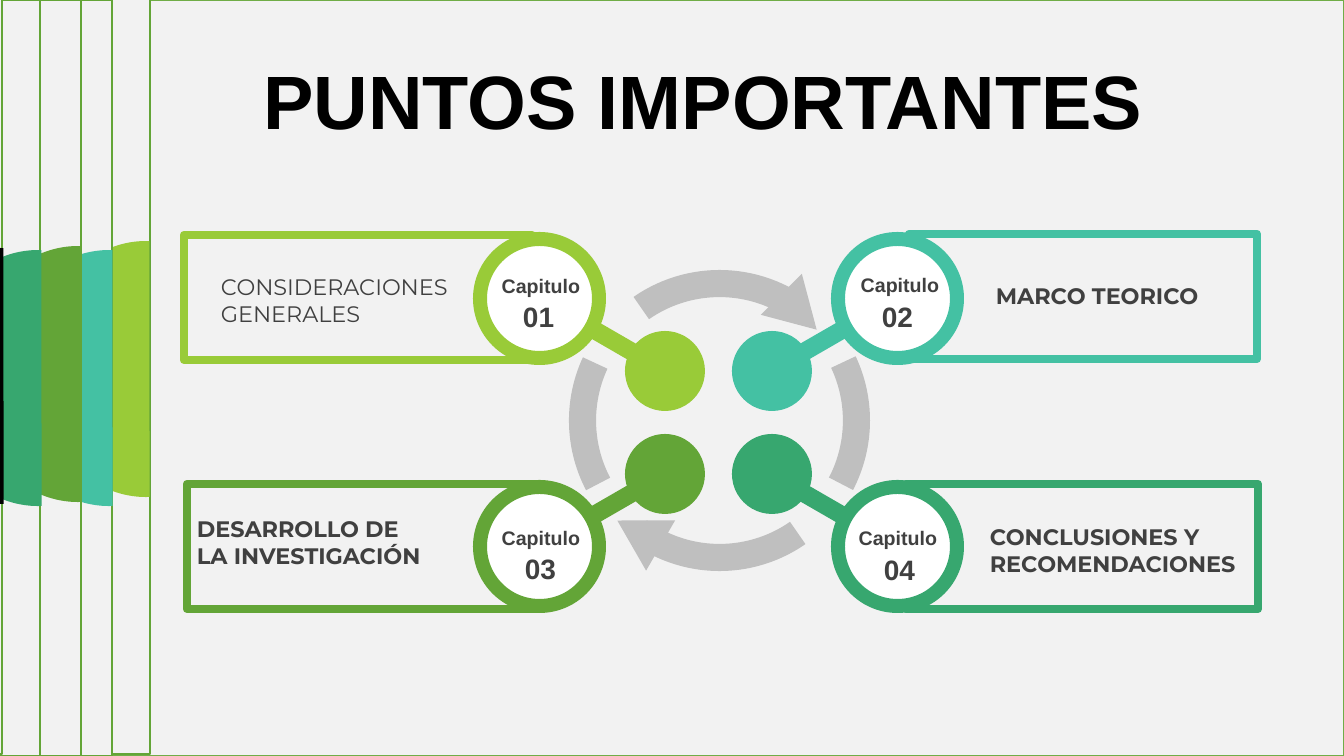
import pptx
import pptx.dml.color
import pptx.enum.shapes
import pptx.enum.text
import pptx.util

PX = 914400 / 100.8
W, H = 1344, 756
SHAPE = pptx.enum.shapes.MSO_SHAPE
ALIGN = pptx.enum.text.PP_ALIGN
ANCHOR = pptx.enum.text.MSO_ANCHOR
COLORS = {
    "paper": "F2F2F2", "edge": "70AD47", "white": "FFFFFF", "black": "000000",
    "text": "404040", "gray": "BFBFBF", "lime": "99CB38", "teal": "44C1A3",
    "green": "63A537", "jade": "37A76F",
}

# color, number, frame box, label, label box, label bold, caption at, number at
CHAPTERS = [
    ("lime", "01", (184, 235, 348, 125), "CONSIDERACIONES\nGENERALES",
     (211, 268, 277, 65), False, (486, 269), (503, 294)),
    ("teal", "02", (909, 234, 348, 125), "MARCO TEORICO",
     (986, 277, 271, 37), True, (845, 268), (862, 294)),
    ("green", "03", (187, 484, 348, 125), "DESARROLLO DE\nLA INVESTIGACIÓN",
     (187, 510, 271, 65), True, (486, 521), (505, 546)),
    ("jade", "04", (906, 484, 352, 125), "CONCLUSIONES Y\nRECOMENDACIONES",
     (980, 518, 284, 65), True, (843, 521), (864, 547)),
]
STUB_ANGLES = [30, 150, 330, 210]

# angle and adjustments of each arc, then place and angle of each arrowhead
ARCS = [
    (90, (146.85, 178.5, 0.09)),
    (270, (145.44, 176.89, 0.09)),
    (0, (141.11, 183.63, 0.09)),
    (180, (141.11, 183.63, 0.09)),
]
ARROWHEADS = [(770, 287, 135), (610, 508, 300)]

# right edge and top of the panel, left and top of the tab, tab color
PANELS = [
    (150, -2, 36, 241, "lime"),
    (112, 0, -1, 250, "teal"),
    (81, 0, -32, 246, "green"),
    (40, 0, -72, 250, "jade"),
    (2, -2, -110, 248, "black"),
]


def emu(*lengths):
    return [round(n * PX) for n in lengths]


def rgb(name):
    return pptx.dml.color.RGBColor.from_string(COLORS[name])


def add_shape(shapes, kind, box, fill=None, line=None, width=1, angle=0, adj=()):
    sp = shapes.add_shape(kind, *emu(*box))
    sp.shadow.inherit = False
    sp.rotation = angle
    for i, value in enumerate(adj):
        sp.adjustments[i] = value
    if fill:
        sp.fill.solid()
        sp.fill.fore_color.rgb = rgb(fill)
    else:
        sp.fill.background()
    if line:
        sp.line.color.rgb = rgb(line)
        sp.line.width = pptx.util.Pt(width)
    else:
        sp.line.fill.background()
    return sp


def add_text(shapes, box, text, size, font="Arial", color="text", bold=True,
             align=ALIGN.CENTER, anchor=ANCHOR.TOP, wrap=True):
    tf = shapes.add_textbox(*emu(*box)).text_frame
    tf.word_wrap = wrap
    tf.auto_size = pptx.enum.text.MSO_AUTO_SIZE.SHAPE_TO_FIT_TEXT
    tf.vertical_anchor = anchor
    tf.text = text
    for p in tf.paragraphs:
        p.alignment = align
        p.font.name = font
        p.font.size = pptx.util.Pt(size)
        p.font.bold = bold
        p.font.color.rgb = rgb(color)


def add_node(slide, index, color):
    """Ring, inner dot and the stub that joins them."""
    row, col = divmod(index, 2)
    shapes = slide.shapes.add_group_shape().shapes
    ring = ((480, 838)[col], (239, 487)[row], 119, 119)
    dot = ((625, 732)[col], (331, 434)[row], 80, 80)
    stub = ((590, 796)[col], (333, 494)[row], 50, 18)
    add_shape(shapes, SHAPE.OVAL, ring, "white", color, 10)
    add_shape(shapes, SHAPE.OVAL, dot, color)
    add_shape(shapes, SHAPE.RECTANGLE, stub, color, angle=STUB_ANGLES[index])


def add_caption(slide, number, caption_at, number_at):
    shapes = slide.shapes.add_group_shape().shapes
    add_text(shapes, (*caption_at, 110, 34), "Capitulo", 14)
    add_text(shapes, (*number_at, 71, 44), number, 20, anchor=ANCHOR.MIDDLE)


def add_cycle(slide):
    shapes = slide.shapes.add_group_shape().shapes
    for angle, adj in ARCS:
        add_shape(shapes, SHAPE.BLOCK_ARC, (569, 270, 301, 301), "gray",
                  angle=angle, adj=adj)
    for x, y, angle in ARROWHEADS:
        add_shape(shapes, SHAPE.ISOSCELES_TRIANGLE, (x, y, 58, 50), "gray",
                  angle=angle)


def add_panel(slide, right, top, tab_x, tab_y, color):
    shapes = slide.shapes.add_group_shape().shapes
    add_shape(shapes, SHAPE.RECTANGLE, (right - W, top, W, H), "paper", "green")
    add_shape(shapes, SHAPE.CHORD, (tab_x, tab_y, 220, 256), color,
              adj=(53.02, 162.91))


def main():
    prs = pptx.Presentation()
    prs.slide_width, prs.slide_height = emu(W, H)
    slide = prs.slides.add_slide(prs.slide_layouts[6])

    # Background and title
    add_shape(slide.shapes, SHAPE.RECTANGLE, (0, 0, W, H), "paper", "edge")
    add_text(slide.shapes, (252, 49, 902, 102), "PUNTOS IMPORTANTES", 54,
             color="black", wrap=False)

    # Chapter frames and labels
    for color, _, frame, label, label_box, bold, _, _ in CHAPTERS:
        add_shape(slide.shapes, SHAPE.RECTANGLE, frame, line=color, width=6)
        add_text(slide.shapes, label_box, label, 16, "Montserrat", bold=bold,
                 align=ALIGN.LEFT)

    # Chapter nodes, then their captions
    for i, chapter in enumerate(CHAPTERS):
        add_node(slide, i, chapter[0])
    for _, number, _, _, _, _, caption_at, number_at in CHAPTERS:
        add_caption(slide, number, caption_at, number_at)

    # Central cycle
    add_cycle(slide)

    # Stacked panels with tabs on the left
    for panel in PANELS:
        add_panel(slide, *panel)

    prs.save("out.pptx")


if __name__ == "__main__":
    main()
